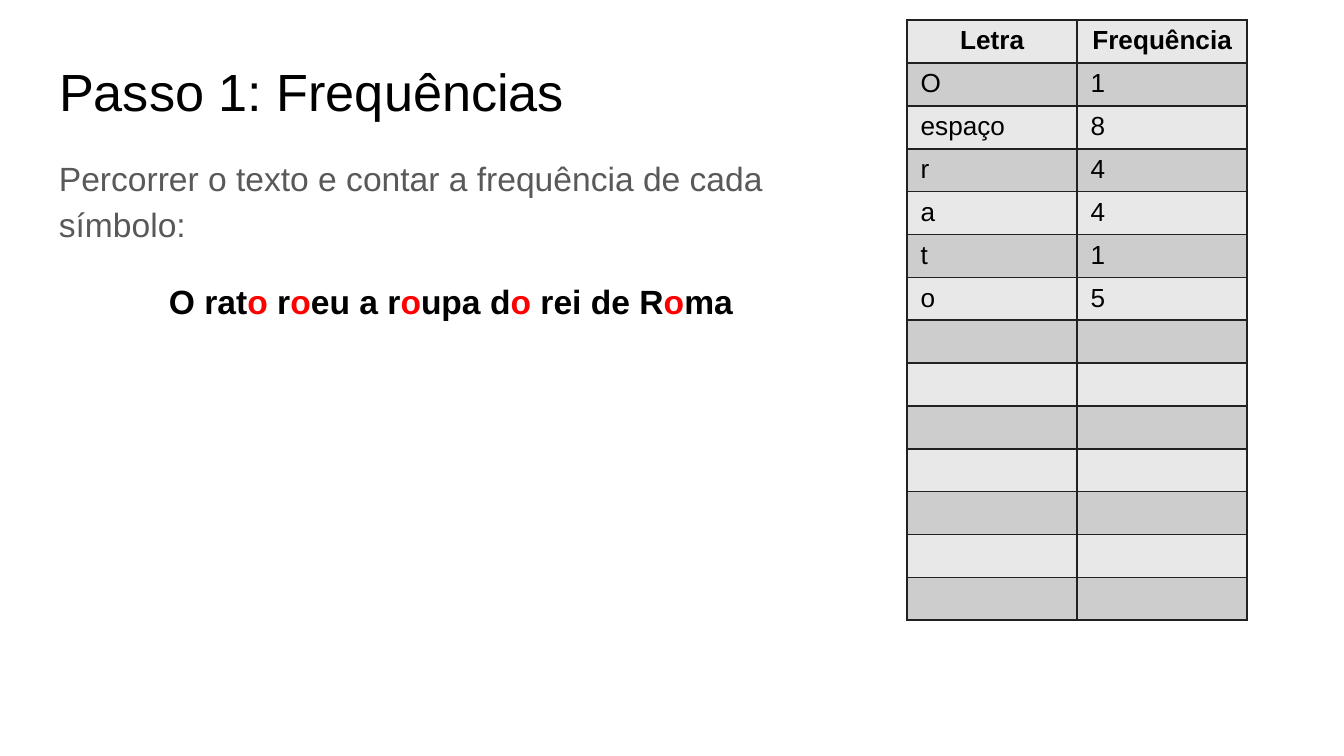
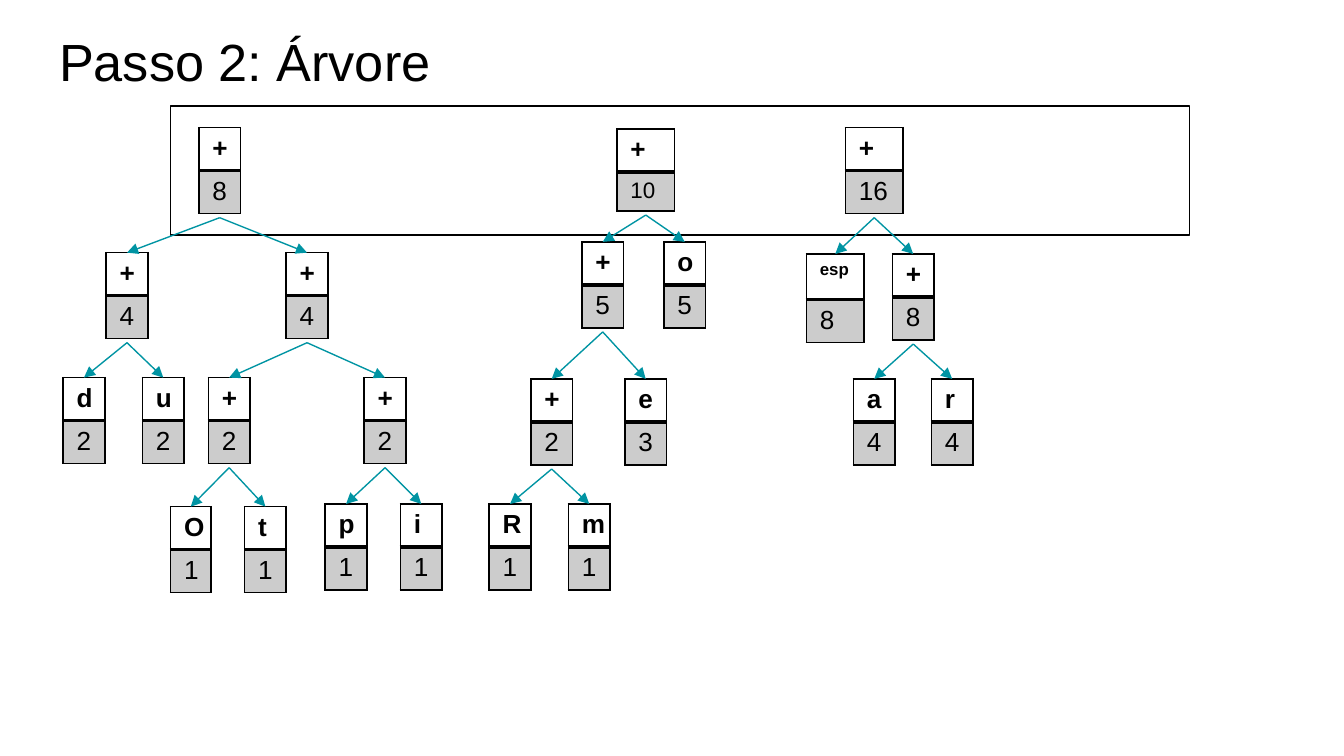
from dataclasses import dataclass
from itertools import groupby

from lxml import etree
from pptx import Presentation
from pptx.dml.color import RGBColor
from pptx.enum.shapes import MSO_CONNECTOR, MSO_SHAPE
from pptx.enum.text import MSO_ANCHOR, MSO_AUTO_SIZE, PP_ALIGN
from pptx.oxml.ns import qn
from pptx.util import Inches, Pt

STRAIGHT, RECTANGLE = MSO_CONNECTOR.STRAIGHT, MSO_SHAPE.RECTANGLE
TOP, NO_FIT = MSO_ANCHOR.TOP, MSO_AUTO_SIZE.NONE
LEFT, CENTER = PP_ALIGN.LEFT, PP_ALIGN.CENTER
TITLE_ONLY = 5


@dataclass(frozen=True)
class Theme:
    font: str = "Arial"
    ink: str = "000000"
    muted: str = "595959"
    accent: str = "FF0000"
    arrow: str = "0094A3"
    grid: str = "212121"
    light_row: str = "E8E8E8"
    dark_row: str = "CDCDCD"
    count_alpha: int = 20
    title_size: int = 28
    body_size: int = 18
    cell_size: int = 14
    thin: float = 0.75


THEME = Theme()


@dataclass(frozen=True)
class Node:
    symbol: str
    count: int
    left: float
    top: float
    children: tuple = ()
    width: float = 0.31
    rows: tuple = (0.32, 0.32)
    symbol_size: int = THEME.cell_size
    count_size: int = THEME.cell_size
    drop: float = 0.67  # from the node's top to where its arrows start


# Content: frequencies
STEP_1 = "Passo 1: Frequências"
INSTRUCTION = "Percorrer o texto e contar a frequência de cada símbolo:"
SENTENCE = "O rato roeu a roupa do rei de Roma"
COUNTED_LETTER = "o"
HEADER = ("Letra", "Frequência")
FREQUENCIES = [("O", 1), ("espaço", 8), ("r", 4), ("a", 4), ("t", 1), ("o", 5)]
EMPTY_ROWS = 7

# Content: tree
STEP_2 = "Passo 2: Árvore"
ROOTS = (
    Node("+", 8, 1.48, 0.95, (
        Node("+", 4, 0.79, 1.88, (
            Node("d", 2, 0.47, 2.81),
            Node("u", 2, 1.06, 2.81))),
        Node("+", 4, 2.13, 1.88, (
            Node("+", 2, 1.55, 2.81, (
                Node("O", 1, 1.27, 3.77, width=0.3),
                Node("t", 1, 1.82, 3.77))),
            Node("+", 2, 2.71, 2.81, (
                Node("p", 1, 2.42, 3.75),
                Node("i", 1, 2.98, 3.75))))))),
    Node("+", 10, 4.59, 0.96, (
        Node("+", 5, 4.33, 1.8, (
            Node("+", 2, 3.95, 2.82, (
                Node("R", 1, 3.64, 3.75),
                Node("m", 1, 4.23, 3.75))),
            Node("e", 3, 4.65, 2.82))),
        Node("o", 5, 4.94, 1.8)),
        width=0.43, rows=(0.32, 0.29), count_size=12, drop=0.64),
    Node("+", 16, 6.29, 0.95, (
        Node("esp", 8, 6.0, 1.89, width=0.43, rows=(0.34, 0.32), symbol_size=9),
        Node("+", 8, 6.64, 1.89, (
            Node("a", 4, 6.35, 2.82),
            Node("r", 4, 6.93, 2.82)))),
        width=0.43),
)


# Shared helpers
def rgb(color):
    return RGBColor.from_string(color)


def place(left, top, width, height):
    return [Inches(value) for value in (left, top, width, height)]


def add_span(para, text, size, color=THEME.ink, bold=False):
    span = para.add_run()
    span.text = text
    span.font.name = THEME.font
    span.font.size = Pt(size)
    span.font.bold = bold
    span.font.color.rgb = rgb(color)


def set_frame(frame):
    frame.word_wrap = True
    frame.auto_size = NO_FIT
    frame.vertical_anchor = TOP
    frame.margin_left = frame.margin_right = Inches(0.1)
    frame.margin_top = frame.margin_bottom = Inches(0.1)


def add_page(deck, title, top):
    page = deck.slides.add_slide(deck.slide_layouts[TITLE_ONLY])
    box = page.shapes.title
    box.left, box.top, box.width, box.height = place(0.34, top, 9.32, 0.63)
    set_frame(box.text_frame)
    para = box.text_frame.paragraphs[0]
    para.alignment = LEFT
    add_span(para, title, THEME.title_size)
    return page


def add_grid(page, left, top, widths, heights):
    table = page.shapes.add_table(
        len(heights), len(widths),
        *place(left, top, sum(widths), sum(heights))).table
    table.first_row = table.horz_banding = False
    for column, width in zip(table.columns, widths):
        column.width = Inches(width)
    for row, height in zip(table.rows, heights):
        row.height = Inches(height)
    return table


def fill_cell(cell, text, size=THEME.cell_size, bold=False, align=LEFT):
    cell.margin_left = cell.margin_right = Inches(0.1)
    cell.margin_top = cell.margin_bottom = Inches(0.045)
    para = cell.text_frame.paragraphs[0]
    para.alignment = align
    if text:
        add_span(para, text, size, bold=bold)
    else:
        end = etree.SubElement(para._p, qn("a:endParaRPr"), sz=str(size * 100))
        etree.SubElement(end, qn("a:latin"), typeface=THEME.font)


def paint_cell(cell, color, alpha=100):
    cell.fill.solid()
    cell.fill.fore_color.rgb = rgb(color)
    if alpha < 100:
        tint = cell._tc.tcPr.find(".//" + qn("a:srgbClr"))
        etree.SubElement(tint, qn("a:alpha"), val=str(alpha * 1000))


def border_cell(cell, color, bottom=1):
    sides = {"lnL": 1, "lnR": 1, "lnT": 1, "lnB": bottom}
    for index, (side, points) in enumerate(sides.items()):
        line = etree.Element(qn("a:" + side), w=str(Pt(points)))
        solid = etree.SubElement(line, qn("a:solidFill"))
        etree.SubElement(solid, qn("a:srgbClr"), val=color)
        cell._tc.tcPr.insert(index, line)


# Tree parts
def walk(nodes):
    """Yield every node, children before their parent."""
    for node in nodes:
        yield from walk(node.children)
        yield node


def add_node(page, node):
    table = add_grid(page, node.left, node.top, [node.width], node.rows)
    symbol, count = table.cell(0, 0), table.cell(1, 0)
    fill_cell(symbol, node.symbol, node.symbol_size, bold=True)
    symbol.fill.background()
    border_cell(symbol, THEME.ink, bottom=2)
    fill_cell(count, str(node.count), node.count_size)
    paint_cell(count, THEME.ink, THEME.count_alpha)
    border_cell(count, THEME.ink)


def add_arrow(page, parent, child):
    arrow = page.shapes.add_connector(
        STRAIGHT,
        Inches(parent.left + parent.width / 2), Inches(parent.top + parent.drop),
        Inches(child.left + child.width / 2), Inches(child.top))
    arrow.line.color.rgb = rgb(THEME.arrow)
    arrow.line.width = Pt(THEME.thin)
    etree.SubElement(arrow.line._get_or_add_ln(), qn("a:tailEnd"), type="triangle")
    etree.SubElement(arrow._element.spPr, qn("a:effectLst"))


# Slides
def build_frequencies(deck):
    page = add_page(deck, STEP_1, 0.34)

    # Instruction and sentence with the counted letter marked
    frame = page.shapes.add_textbox(*place(0.34, 1.03, 6.03, 4.59)).text_frame
    set_frame(frame)
    para = frame.paragraphs[0]
    para.line_spacing = 1.15
    add_span(para, INSTRUCTION, THEME.body_size, THEME.muted)
    para = frame.add_paragraph()
    para.alignment = CENTER
    para.line_spacing = 1.15
    para.space_before = Pt(16)
    for counted, letters in groupby(SENTENCE, lambda letter: letter == COUNTED_LETTER):
        color = THEME.accent if counted else THEME.ink
        add_span(para, "".join(letters), THEME.body_size, color, bold=True)

    # Frequency table
    rows = [HEADER, *FREQUENCIES, *[("", "")] * EMPTY_ROWS]
    table = add_grid(page, 6.75, 0.15, [1.265] * 2, [0.319] * len(rows))
    for row_index, row in enumerate(rows):
        is_header = row_index == 0
        for column_index, value in enumerate(row):
            cell = table.cell(row_index, column_index)
            fill_cell(cell, str(value), bold=is_header,
                      align=CENTER if is_header else LEFT)
            paint_cell(cell, THEME.dark_row if row_index % 2 else THEME.light_row)
            border_cell(cell, THEME.grid)


def build_tree(deck):
    page = add_page(deck, STEP_2, 0.12)
    nodes = list(walk(ROOTS))

    # Leaves
    for node in nodes:
        if not node.children:
            add_node(page, node)

    # Frame around the roots
    box = page.shapes.add_shape(RECTANGLE, *place(1.27, 0.79, 7.58, 0.96))
    box.shadow.inherit = False
    box.fill.background()
    box.line.color.rgb = rgb(THEME.ink)
    box.line.width = Pt(THEME.thin)

    # Inner nodes and their arrows
    for node in nodes:
        if node.children:
            add_node(page, node)
            for child in reversed(node.children):
                add_arrow(page, node, child)


# Deck in 16:9
deck = Presentation()
deck.slide_width = Inches(10)
deck.slide_height = deck.slide_width * 9 // 16
build_frequencies(deck)
build_tree(deck)
deck.save("out.pptx")
